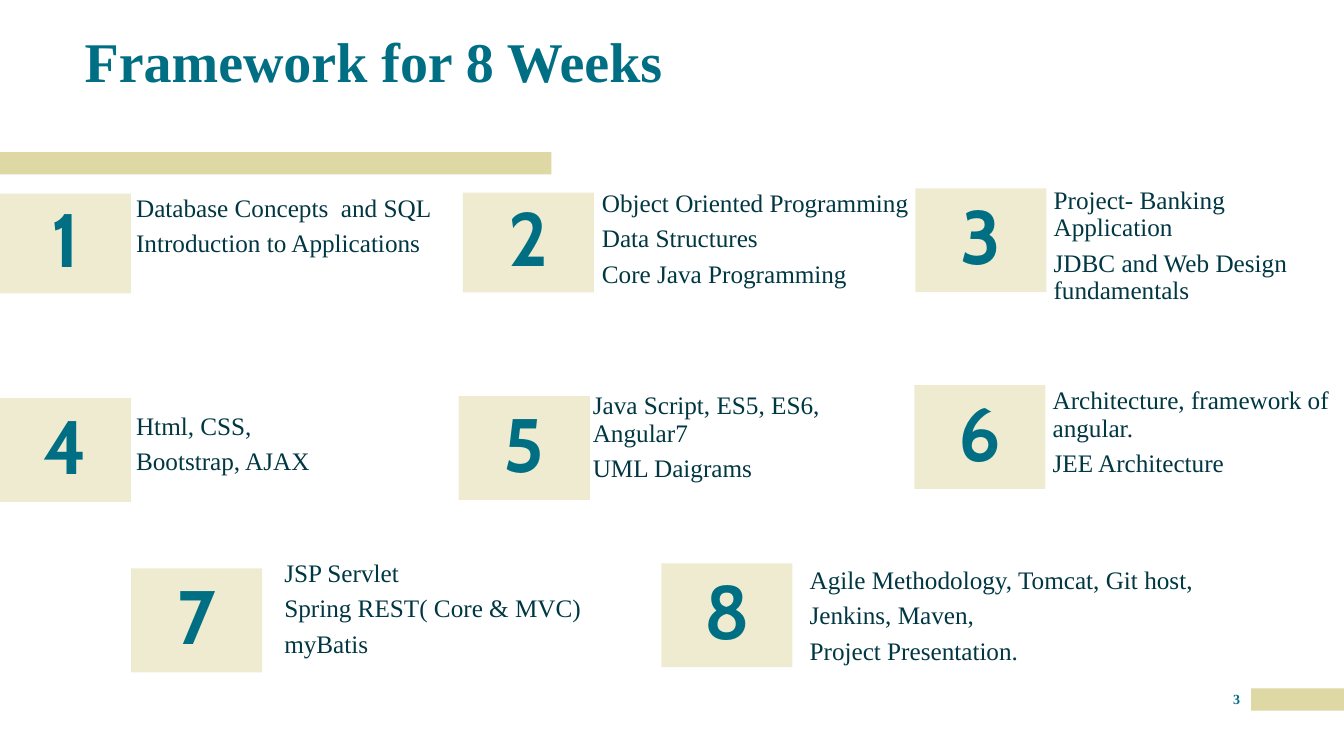
from lxml import etree
from pptx import Presentation
from pptx import util as u
from pptx.dml.color import RGBColor
from pptx.enum import shapes, text
from pptx.oxml.ns import qn

TEAL, DARK, SAND = "006F83", "003742", "DED8A4"
SERIF = "Times New Roman"


def add_bar(left, top, width, height, alpha=100):
    sp = s.shapes.add_shape(shapes.MSO_SHAPE.RECTANGLE, u.Inches(left), u.Inches(top),
                            u.Inches(width), u.Inches(height))
    sp.shadow.inherit = False
    sp.line.fill.background()
    sp.fill.solid()
    sp.fill.fore_color.rgb = RGBColor.from_string(SAND)
    if alpha < 100:
        clr = sp.fill._xPr.find(qn("a:solidFill"))[0]
        etree.SubElement(clr, qn("a:alpha")).set("val", str(alpha * 1000))
    return sp


def write(sp, words, size, color, font=SERIF, bold=False, align=text.PP_ALIGN.LEFT,
          anchor=text.MSO_ANCHOR.TOP, spacing=0.9):
    tf = sp.text_frame
    tf.word_wrap = True
    tf.margin_left = tf.margin_right = tf.margin_top = tf.margin_bottom = 0
    tf.vertical_anchor = anchor
    tf.text = words
    for i, p in enumerate(tf.paragraphs):
        p.alignment = align
        p.line_spacing = spacing
        p.space_before = u.Pt(6 if i else 0)
        for r in p.runs:
            r.font.name = font
            r.font.size = u.Pt(size)
            r.font.bold = bold
            r.font.color.rgb = RGBColor.from_string(color)


prs = Presentation()
prs.slide_width, prs.slide_height = u.Inches(13.33), u.Inches(7.5)
s = prs.slides.add_slide(prs.slide_layouts[6])

add_bar(12.41, 6.83, 0.92, 0.22)
add_bar(0, 1.51, 5.47, 0.22)

title = s.shapes.add_textbox(u.Inches(0.84), u.Inches(0.34), u.Inches(8.53), u.Inches(0.6))
write(title, "Framework for 8 Weeks", 40, TEAL, bold=True, anchor=text.MSO_ANCHOR.BOTTOM)

weeks = [
    ((0, 1.92, 0.99), (1.35, 1.94, 3.22),
     "Database Concepts  and SQL\nIntroduction to Applications"),
    ((4.59, 1.91, 0.99), (5.97, 1.89, 3.2),
     "Object Oriented Programming\nData Structures\nCore Java Programming"),
    ((9.08, 1.87, 1.03), (10.45, 1.86, 2.88),
     "Project- Banking Application\nJDBC and Web Design fundamentals"),
    ((0, 3.95, 1.03), (1.35, 4.1, 3.2),
     "Html, CSS,\nBootstrap, AJAX"),
    ((4.55, 3.93, 1.03), (5.88, 3.9, 3.2),
     "Java Script, ES5, ES6, Angular7\nUML Daigrams"),
    ((9.07, 3.82, 1.03), (10.44, 3.85, 2.89),
     "Architecture, framework of angular.\nJEE Architecture"),
    ((1.3, 5.64, 1.03), (2.82, 5.56, 3.2),
     "JSP Servlet\nSpring REST( Core & MVC)\nmyBatis"),
    ((6.56, 5.59, 1.03), (8.03, 5.63, 4.12),
     "Agile Methodology, Tomcat, Git host,\nJenkins, Maven,\nProject Presentation."),
]
for week, (tile, box, topics) in enumerate(weeks, 1):
    left, top, height = tile
    sp = add_bar(left, top, 1.3, height, alpha=50)
    write(sp, str(week), 54, TEAL, font="Cabin", bold=True,
          align=text.PP_ALIGN.CENTER, anchor=text.MSO_ANCHOR.MIDDLE)
    left, top, width = box
    sp = s.shapes.add_textbox(u.Inches(left), u.Inches(top), u.Inches(width), u.Inches(1.2))
    write(sp, topics, 18, DARK)

number = s.shapes.add_textbox(u.Inches(12.12), u.Inches(6.85), u.Inches(0.29), u.Inches(0.25))
write(number, "3", 10, TEAL, bold=True, align=text.PP_ALIGN.CENTER, spacing=1.0)

prs.save("out.pptx")
